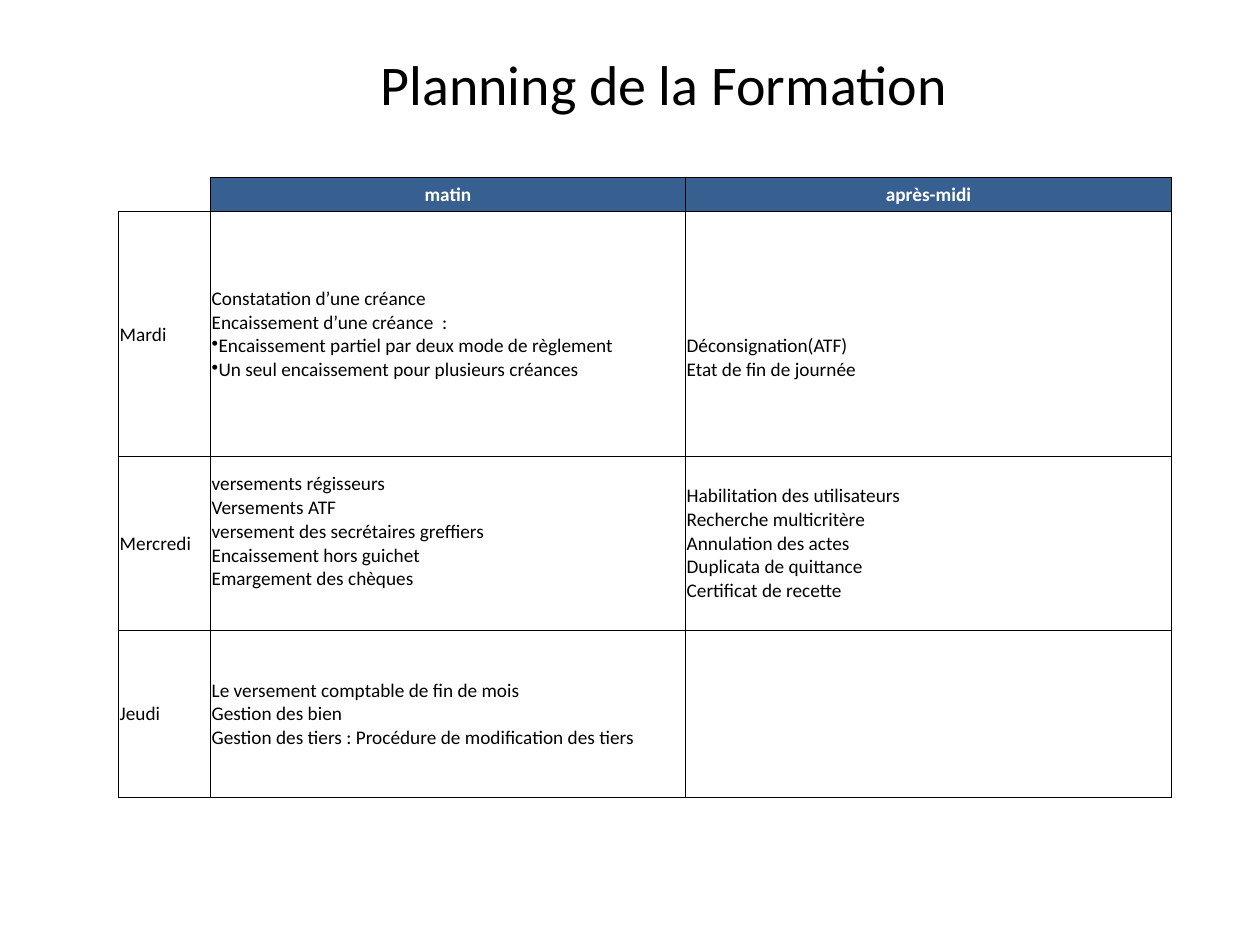
from lxml import etree
from pptx import Presentation
from pptx.dml.color import RGBColor
from pptx.enum.text import MSO_ANCHOR, PP_ALIGN
from pptx.oxml.ns import qn
from pptx.util import Inches, Pt

CENTER, LEFT, MIDDLE = PP_ALIGN.CENTER, PP_ALIGN.LEFT, MSO_ANCHOR.MIDDLE
BLACK = RGBColor(0x00, 0x00, 0x00)
WHITE = RGBColor(0xFF, 0xFF, 0xFF)
BLUE = RGBColor(0x37, 0x60, 0x91)
BULLET = "•"
LINE = 0.19  # height of one 11 pt line, in inches


def write(tf, text, size=11, color=BLACK, bold=False, align=LEFT):
    """Write one paragraph per line; a leading bullet becomes a real one."""
    for i, line in enumerate(text.split("\n")):
        p = tf.paragraphs[0] if i == 0 else tf.add_paragraph()
        p.alignment = align
        if not line:
            p._p.get_or_add_endParaRPr().set("sz", str(size * 100))
            continue
        if line.startswith(BULLET):
            pPr = p._p.get_or_add_pPr()
            pPr.set("marL", "0")
            pPr.set("indent", "0")
            etree.SubElement(pPr, qn("a:buChar")).set("char", BULLET)
        r = p.add_run()
        r.text = line.lstrip(BULLET)
        r.font.name, r.font.size, r.font.bold = "Calibri", Pt(size), bold
        r.font.color.rgb = color


class Deck:
    def __init__(self, width, height):
        self.prs = Presentation()
        self.prs.slide_width, self.prs.slide_height = Inches(width), Inches(height)
        self.s = self.prs.slides.add_slide(self.prs.slide_layouts[5])

    def title(self, text, x, y, w, h):
        sp = self.s.shapes.title
        sp.left, sp.top, sp.width, sp.height = map(Inches, (x, y, w, h))
        sp.text_frame.vertical_anchor = MIDDLE
        write(sp.text_frame, text, size=32, align=CENTER)

    def borders(self, cell, sides):
        tcPr = cell._tc.get_or_add_tcPr()
        for side in "LRTB":
            ln = etree.SubElement(tcPr, qn("a:ln" + side), w=str(Pt(0.5)))
            if side in sides:
                fill = etree.SubElement(ln, qn("a:solidFill"))
                etree.SubElement(fill, qn("a:srgbClr"), val=str(BLACK))
            else:
                etree.SubElement(ln, qn("a:noFill"))

    def cell(self, cell, text, fill=None, sides="LRTB", top=0.01, bottom=0, **fmt):
        self.borders(cell, sides)
        if fill is None:
            cell.fill.background()
        else:
            cell.fill.solid()
            cell.fill.fore_color.rgb = fill
        cell.vertical_anchor = MIDDLE
        cell.margin_left = cell.margin_right = Inches(0.01)
        cell.margin_top, cell.margin_bottom = Inches(top), Inches(bottom)
        write(cell.text_frame, text, **fmt)

    def table(self, x, y, cols, rows, texts, formats):
        frame = self.s.shapes.add_table(len(rows), len(cols), Inches(x), Inches(y),
                                        Inches(sum(cols)), Inches(sum(rows)))
        table = frame.table
        table.first_row = table.horz_banding = False
        for c, width in enumerate(cols):
            table.columns[c].width = Inches(width)
        for r, height in enumerate(rows):
            table.rows[r].height = Inches(height)
            for c, text in enumerate(texts[r]):
                self.cell(table.cell(r, c), text, **formats.get((r, c), {}))


deck = Deck(10, 7.5)

# Title
deck.title("Planning de la Formation", 0.77, 0.31, 9, 0.7)

# Timetable: one row per day, one column per half-day
SCHEDULE = [
    ["", "matin", "après-midi"],
    ["Mardi",
     "Constatation d’une créance\nEncaissement d’une créance  :\n"
     "•Encaissement partiel par deux mode de règlement\n"
     "•Un seul encaissement pour plusieurs créances",
     "Déconsignation(ATF)\nEtat de fin de journée"],
    ["Mercredi",
     "versements régisseurs\nVersements ATF\nversement des secrétaires greffiers\n"
     "Encaissement hors guichet\nEmargement des chèques",
     "Habilitation des utilisateurs\nRecherche multicritère\nAnnulation des actes\n"
     "Duplicata de quittance\nCertificat de recette"],
    ["Jeudi",
     "Le versement comptable de fin de mois\nGestion des bien\n"
     "Gestion des tiers : Procédure de modification des tiers",
     ""],
]
header = dict(fill=BLUE, color=WHITE, bold=True, align=CENTER)
FORMATS = {
    (0, 0): dict(sides="RB"),
    (0, 1): header,
    (0, 2): header,
    (1, 2): dict(top=2 * LINE),   # text sits two lines lower
    (2, 1): dict(bottom=LINE),    # text sits one line higher
}
deck.table(0.94, 1.41, [0.73, 3.77, 3.86], [0.27, 1.94, 1.38, 1.33], SCHEDULE, FORMATS)

deck.prs.save("out.pptx")
